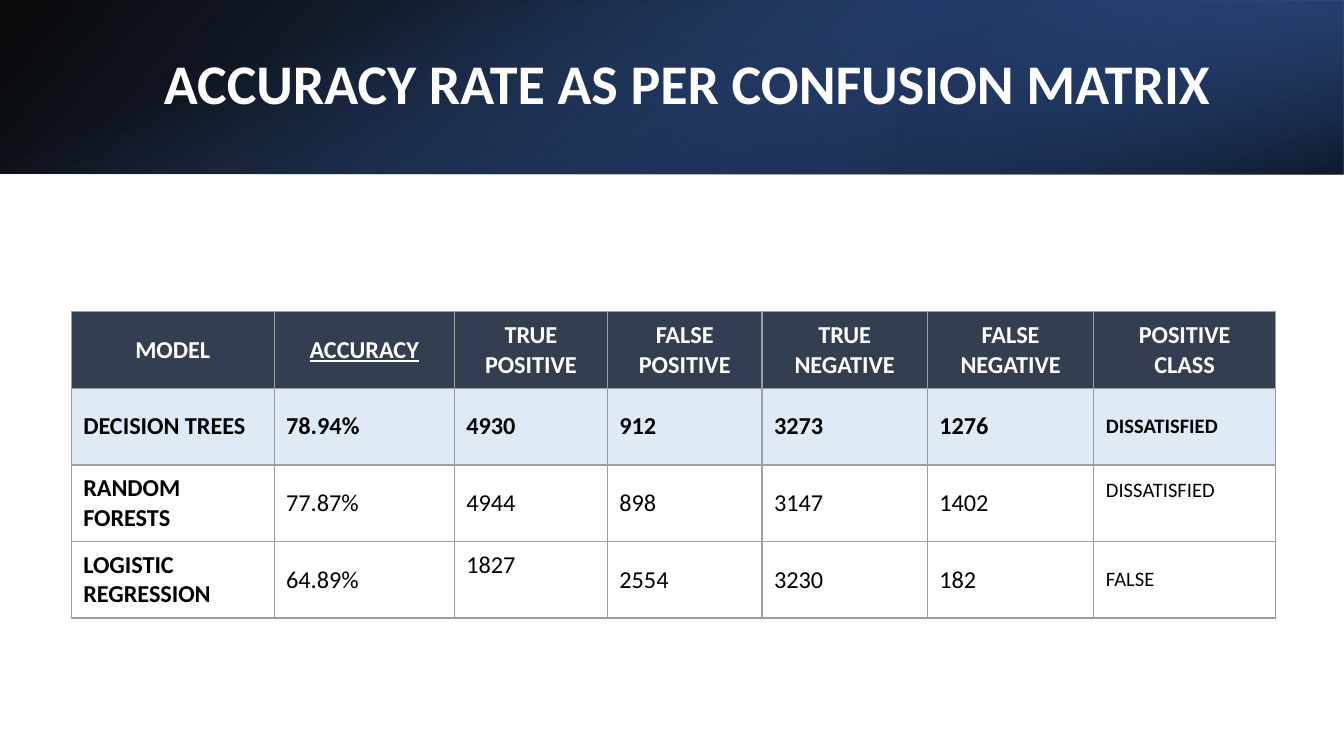
"""Build a slide that compares three models by their confusion matrix."""
from dataclasses import dataclass

from lxml import etree
from pptx import Presentation
from pptx.dml.color import RGBColor
from pptx.enum.shapes import MSO_SHAPE
from pptx.enum.text import MSO_ANCHOR, MSO_AUTO_SIZE, PP_ALIGN
from pptx.oxml.ns import qn
from pptx.slide import Slide
from pptx.table import _Cell
from pptx.util import Inches, Pt

RECT = MSO_SHAPE.RECTANGLE
MIDDLE = MSO_ANCHOR.MIDDLE
LEFT, CENTER = PP_ALIGN.LEFT, PP_ALIGN.CENTER
NO_FIT = MSO_AUTO_SIZE.NONE


@dataclass(frozen=True)
class Theme:
    """Hold the colours, font and type sizes."""
    font: str = "Calibri"
    white: str = "FFFFFF"
    black: str = "000000"
    head: str = "333F50"
    best: str = "DEEBF7"
    rule: str = "9E9E9E"
    blue: str = "4472C4"
    deep: str = "2F5597"
    navy: str = "203864"
    title: int = 30
    body: int = 13
    small: int = 11


@dataclass(frozen=True)
class Stop:
    """Describe a gradient stop, with place and opacity in percent."""
    place: int
    color: str
    alpha: int


@dataclass(frozen=True)
class Band:
    """Describe a gradient layer of the banner."""
    left: float
    top: float
    width: float
    height: float
    angle: int
    stops: tuple[Stop, Stop]
    turn: int = 0
    flip: bool = False


@dataclass(frozen=True)
class Look:
    """Describe how a cell is set."""
    color: str
    size: int
    bold: bool
    line: bool = False
    align: PP_ALIGN = LEFT
    fill: str | None = None
    foot: float = 0.05


THEME = Theme()
BANDS = (
    Band(0, 0, 10, 1.29, 140,
         (Stop(0, THEME.black, 96), Stop(100, THEME.deep, 100)), flip=True),
    Band(6.67, 0, 3.33, 1.29, 320,
         (Stop(19, THEME.navy, 68), Stop(100, THEME.blue, 79)), 180, True),
    Band(4.35, -4.35, 1.29, 10, 340,
         (Stop(23, THEME.blue, 0), Stop(99, THEME.black, 74)), 90),
)
WIDTHS = (1.51, 1.34, 1.14, 1.15, 1.23, 1.24, 1.35)
ROW = 0.57
ROWS = (
    ("MODEL", "ACCURACY", "TRUE POSITIVE", "FALSE POSITIVE",
     "TRUE NEGATIVE", "FALSE NEGATIVE", "POSITIVE CLASS"),
    ("DECISION TREES", "78.94%", "4930", "912", "3273", "1276", "DISSATISFIED"),
    ("RANDOM FORESTS", "77.87%", "4944", "898", "3147", "1402", "DISSATISFIED"),
    ("LOGISTIC REGRESSION", "64.89%", "1827", "2554", "3230", "182", "FALSE"),
)
RAISED = {(2, 6): 0.24, (3, 2): 0.27}


def rgb(color: str) -> RGBColor:
    """Turn a hex string into a colour."""
    return RGBColor.from_string(color)


def draw_band(slide: Slide, band: Band) -> None:
    """Draw one gradient layer."""
    box = (band.left, band.top, band.width, band.height)
    shape = slide.shapes.add_shape(RECT, *map(Inches, box))
    shape.shadow.inherit = False
    shape.line.fill.background()
    shape.rotation = band.turn
    props = shape._element.spPr
    if band.flip:
        props.find(qn("a:xfrm")).set("flipH", "1")
    shape.fill.gradient()
    shape.fill.gradient_angle = 360 - band.angle
    for stop, item in zip(shape.fill.gradient_stops, band.stops):
        stop.position = item.place / 100
        stop.color.rgb = rgb(item.color)
    for node, item in zip(props.iter(qn("a:srgbClr")), band.stops):
        etree.SubElement(node, qn("a:alpha"), val=str(item.alpha * 1000))


def set_title(slide: Slide, text: str) -> None:
    """Place the title on top of the banner."""
    title = slide.shapes.title
    title.left, title.top = Inches(1.12), Inches(0.28)
    title.width, title.height = Inches(8.24), Inches(0.72)
    slide.shapes._spTree.append(title._element)
    frame = title.text_frame
    frame.text = text
    frame.auto_size = NO_FIT
    frame.vertical_anchor = MIDDLE
    para = frame.paragraphs[0]
    para.alignment = LEFT
    para.line_spacing = 0.9
    font = para.runs[0].font
    font.name, font.size, font.bold = THEME.font, Pt(THEME.title), True
    font.color.rgb = rgb(THEME.white)


def add_rules(cell: _Cell) -> None:
    """Draw the four borders of a cell."""
    props = cell._tc.get_or_add_tcPr()
    for side in ("a:lnL", "a:lnR", "a:lnT", "a:lnB"):
        line = etree.SubElement(props, qn(side), w=str(Pt(0.75)))
        fill = etree.SubElement(line, qn("a:solidFill"))
        etree.SubElement(fill, qn("a:srgbClr"), val=THEME.rule)


def pick_look(row: int, col: int) -> Look:
    """Choose the look of a cell by its place."""
    if row == 0:
        return Look(THEME.white, THEME.body, True, col == 1, CENTER, THEME.head)
    last = col == len(WIDTHS) - 1
    return Look(
        THEME.black,
        THEME.small if last else THEME.body,
        bold=row == 1 or col == 0,
        fill=THEME.best if row == 1 else None,
        foot=RAISED.get((row, col), 0.05),
    )


def set_cell(cell: _Cell, text: str, look: Look) -> None:
    """Fill and format one cell."""
    add_rules(cell)
    if look.fill:
        cell.fill.solid()
        cell.fill.fore_color.rgb = rgb(look.fill)
    else:
        cell.fill.background()
    cell.vertical_anchor = MIDDLE
    cell.margin_left = cell.margin_right = Inches(0.09)
    cell.margin_top, cell.margin_bottom = Inches(0.05), Inches(look.foot)
    cell.text_frame.text = text
    para = cell.text_frame.paragraphs[0]
    para.alignment = look.align
    font = para.runs[0].font
    font.name, font.size = THEME.font, Pt(look.size)
    font.bold, font.underline = look.bold, look.line
    font.color.rgb = rgb(look.color)


def draw_table(slide: Slide) -> None:
    """Draw the table of model results."""
    frame = slide.shapes.add_table(
        len(ROWS), len(WIDTHS), Inches(0.53), Inches(2.32),
        Inches(sum(WIDTHS)), Inches(ROW * len(ROWS)))
    table = frame.table
    table.horz_banding = False
    for col, width in zip(table.columns, WIDTHS):
        col.width = Inches(width)
    for row, texts in enumerate(ROWS):
        table.rows[row].height = Inches(ROW)
        for col, text in enumerate(texts):
            set_cell(table.cell(row, col), text, pick_look(row, col))


def main() -> None:
    """Build and save the slide."""
    deck = Presentation()
    deck.slide_width = Inches(10)
    deck.slide_height = deck.slide_width * 9 // 16
    slide = deck.slides.add_slide(deck.slide_layouts[5])
    for band in BANDS:
        draw_band(slide, band)
    set_title(slide, "ACCURACY RATE AS PER CONFUSION MATRIX")
    draw_table(slide)
    deck.save("out.pptx")


if __name__ == "__main__":
    main()
